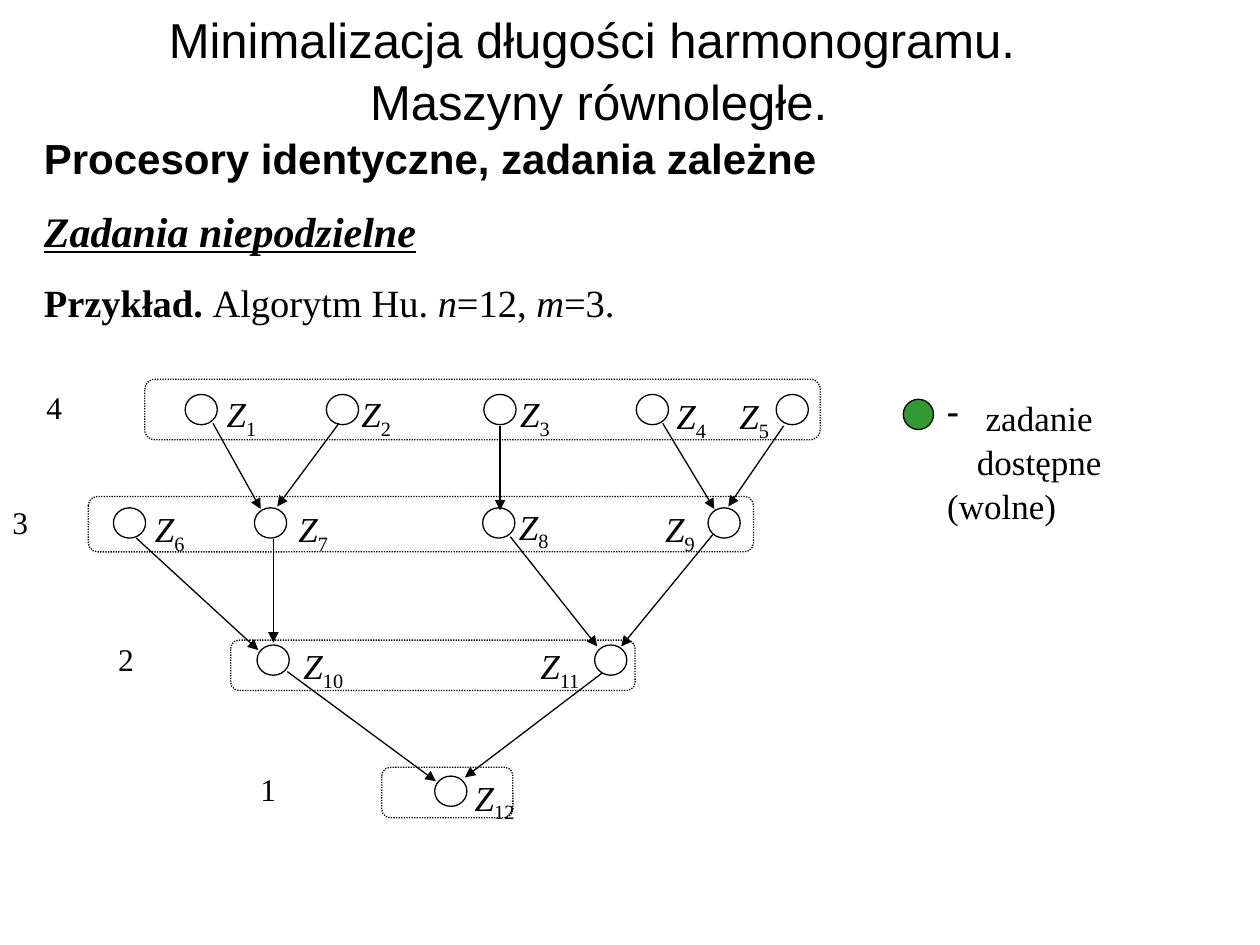
import pptx
import pptx.util
import pptx.dml.color
import pptx.enum.dml
import pptx.enum.shapes
import pptx.enum.text
import pptx.oxml
import lxml.etree

Pt = pptx.util.Pt
SHAPES = pptx.enum.shapes.MSO_SHAPE
ALIGN = pptx.enum.text.PP_ALIGN
ANCHOR = pptx.enum.text.MSO_ANCHOR

THEME = {
    "ink": "000000", "paper": "FFFFFF", "free": "339933",
    "sans": "Arial", "serif": "Times New Roman",
    "title": 28, "heading": 24, "example": 22, "task": 20, "level": 18,
    "line": 0.75, "spacing": 1.05,
}

TITLE = "Minimalizacja długości harmonogramu. \vMaszyny równoległe."
HEADINGS = [
    (72, "sans", "heading", [("Procesory identyczne, zadania zależne", "b")]),
    (113.8, "serif", "heading", [("Zadania niepodzielne", "biu")]),
    (156.2, "serif", "example", [
        ("Przykład. ", "b"), ("Algorytm Hu. ", ""), ("n", "i"),
        ("=12, ", ""), ("m", "i"), ("=3.", "")]),
]
LEVELS = [
    {"level": "4", "at": (19.4, 218.2), "frame": (82.8, 216.7, 385.9, 34.6), "node_top": 225.4,
     "tasks": [("1", 105.8, 122.4, 221), ("2", 186.5, 199.4, 221), ("3", 276.5, 290.2, 221),
               ("4", 363.6, 379.4, 221.8), ("5", 443.5, 415.4, 221.8)]},
    {"level": "3", "at": (0, 283.7), "frame": (50.4, 283.7, 380.2, 31.7), "node_top": 290.2,
     "tasks": [("6", 64.8, 81.4, 286.6), ("7", 145.4, 163.4, 286.6),
               ("8", 275.8, 289.4, 285.1), ("9", 404.6, 373, 286.6)]},
    {"level": "2", "at": (60.5, 362.2), "frame": (131.8, 365.8, 231.1, 28.8), "node_top": 368.6,
     "tasks": [("10", 146.9, 166.3, 365), ("11", 339.8, 301.7, 365)]},
    {"level": "1", "at": (141.8, 436.3), "frame": (218.2, 438.5, 74.9, 28.8), "node_top": 443.5,
     "tasks": [("12", 248.4, 264.2, 439.9)]},
]
DEPENDENCIES = [
    (121.7, 241.9, 149, 290.9), (193.7, 241.9, 158.4, 289.4), (285.8, 243.4, 285.8, 291.6),
    (378.7, 241.9, 408.2, 290.9), (447.8, 243.4, 416.2, 289.4), (156.2, 308.2, 156.2, 367.2),
    (77.8, 307.4, 147.6, 371.5), (407.5, 305.3, 355, 369.4), (164.2, 383.8, 249.1, 446.4),
    (344.2, 384.5, 265.7, 444.2), (291.6, 306.7, 341.3, 369.4),
]
LEGEND = [" zadanie dostępne", "(wolne)"]
NODE = (18.4, 17.3)


def colour(name):
    return pptx.dml.color.RGBColor.from_string(THEME[name])


def format_run(run, face, size, style=""):
    run.font.name = THEME[face]
    run.font.size = Pt(THEME[size])
    run.font.color.rgb = colour("ink")
    run.font.bold = "b" in style
    run.font.italic = "i" in style
    run.font.underline = "u" in style
    if "s" in style:
        run._r.get_or_add_rPr().set("baseline", "-25000")


def add_text(slide, box, face, size, pieces, wrap=False):
    frame = slide.shapes.add_textbox(*map(Pt, box)).text_frame
    frame.word_wrap = wrap
    for words, style in pieces:
        run = frame.paragraphs[0].add_run()
        run.text = words
        format_run(run, face, size, style)
    return frame


def add_outline(slide, kind, box, fill=None):
    outline = slide.shapes.add_shape(kind, *map(Pt, box))
    outline.shadow.inherit = False
    if fill:
        outline.fill.solid()
        outline.fill.fore_color.rgb = colour(fill)
    else:
        outline.fill.background()
    outline.line.color.rgb = colour("ink")
    outline.line.width = Pt(THEME["line"])
    return outline


def add_arrow(slide, ends):
    arrow = slide.shapes.add_connector(
        pptx.enum.shapes.MSO_CONNECTOR.STRAIGHT, *map(Pt, ends))
    arrow.line.color.rgb = colour("ink")
    arrow.line.width = Pt(THEME["line"])
    tail = pptx.oxml.ns.qn("a:tailEnd")
    lxml.etree.SubElement(arrow.line._get_or_add_ln(), tail, type="triangle")
    lxml.etree.SubElement(arrow._element.spPr, pptx.oxml.ns.qn("a:effectLst"))


def add_title(slide):
    title = slide.shapes.title
    title.left, title.top, title.width, title.height = map(Pt, (-18, -5.8, 720, 90))
    frame = title.text_frame
    frame.text = TITLE
    frame.word_wrap = True
    frame.auto_size = pptx.enum.text.MSO_AUTO_SIZE.NONE
    frame.vertical_anchor = ANCHOR.MIDDLE
    frame.paragraphs[0].alignment = ALIGN.CENTER
    frame.paragraphs[0].line_spacing = THEME["spacing"]
    for run in frame.paragraphs[0].runs:
        format_run(run, "sans", "title")


def add_graph(slide):
    for level in LEVELS:
        for number, node_left, label_left, label_top in level["tasks"]:
            add_outline(slide, SHAPES.OVAL, (node_left, level["node_top"], *NODE), "paper")
    for ends in DEPENDENCIES:
        add_arrow(slide, ends)
    for level in LEVELS:
        for number, node_left, label_left, label_top in level["tasks"]:
            add_text(slide, (label_left, label_top, 36 if len(number) == 1 else 45, 30),
                     "serif", "task", [("Z", "i"), (number, "s")])
        group = add_outline(slide, SHAPES.ROUNDED_RECTANGLE, level["frame"])
        group.line.dash_style = pptx.enum.dml.MSO_LINE.ROUND_DOT
        add_text(slide, (*level["at"], 38.9, 30.2), "serif", "level", [(level["level"], "")])


def add_legend(slide):
    add_outline(slide, SHAPES.OVAL, (516.2, 228.2, 17.3, 17.3), "free")
    frame = add_text(slide, (534.2, 221.8, 167.8, 55.4), "serif", "task", [], True)
    frame.text = "\n".join(LEGEND)
    properties = frame.paragraphs[0]._p.get_or_add_pPr()
    properties.set("marL", str(Pt(17)))
    properties.set("indent", str(Pt(-17)))
    lxml.etree.SubElement(properties, pptx.oxml.ns.qn("a:buChar"), char="-")
    for paragraph in frame.paragraphs:
        paragraph.line_spacing = THEME["spacing"]
        format_run(paragraph.runs[0], "serif", "task")


def main():
    deck = pptx.Presentation()
    deck.slide_width, deck.slide_height = Pt(720), Pt(540)
    slide = deck.slides.add_slide(deck.slide_layouts[5])
    add_title(slide)
    for top, face, size, pieces in HEADINGS:
        add_text(slide, (18, top, 702, 36), face, size, pieces, True)
    add_graph(slide)
    add_legend(slide)
    deck.save("out.pptx")


if __name__ == "__main__":
    main()
